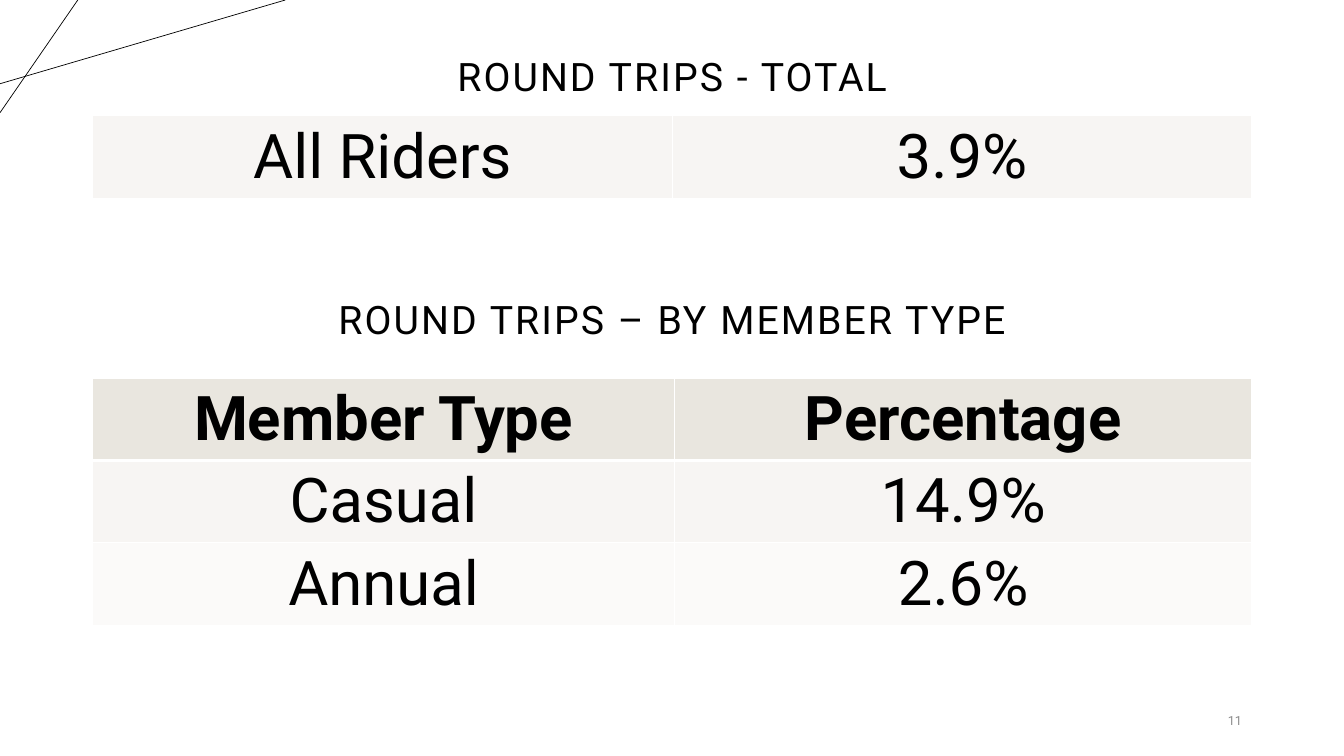
from dataclasses import dataclass

import pptx
import pptx.dml.color
import pptx.enum.shapes
import pptx.enum.text
import pptx.oxml
import pptx.oxml.ns
import pptx.util
from pptx.dml.color import RGBColor
from pptx.enum.text import MSO_ANCHOR, PP_ALIGN
from pptx.util import Cm, Pt

FONT = "Roboto"
BLACK = RGBColor(0x00, 0x00, 0x00)
WHITE = RGBColor(0xFF, 0xFF, 0xFF)
GREY = RGBColor(0x8C, 0x8C, 0x8C)
HEADER_FILL = RGBColor(0xE9, 0xE6, 0xDF)
BAND_FILL = RGBColor(0xF7, 0xF5, 0xF3)
PALE_FILL = RGBColor(0xFB, 0xFA, 0xF9)

MARGIN = 2.34
CONTENT_WIDTH = 29.21
ROW_HEIGHT = 2.07


@dataclass(frozen=True)
class Line:
    x1: float
    y1: float
    x2: float
    y2: float


@dataclass(frozen=True)
class Row:
    texts: tuple[str, str]
    fill: RGBColor
    header: bool = False


@dataclass(frozen=True)
class RateTable:
    top: float
    first_column: float
    rows: tuple[Row, ...]


CORNER_LINES = (Line(0, 2.11, 7.19, 0), Line(1.96, 0, 0, 2.84))

RATE_TABLES = (
    RateTable(2.92, 14.6, (Row(("All Riders", "3.9%"), BAND_FILL),)),
    RateTable(9.53, 14.66, (
        Row(("Member Type", "Percentage"), HEADER_FILL, header=True),
        Row(("Casual", "14.9%"), BAND_FILL),
        Row(("Annual", "2.6%"), PALE_FILL),
    )),
)


def place(shape, left: float, top: float, width: float, height: float) -> None:
    shape.left, shape.top = Cm(left), Cm(top)
    shape.width, shape.height = Cm(width), Cm(height)


def style(paragraph, size: float, color: RGBColor, align: PP_ALIGN,
          bold: bool = False) -> None:
    paragraph.alignment = align
    font = paragraph.font
    font.name, font.size, font.bold = FONT, Pt(size), bold
    font.color.rgb = color


def write_heading(shape, text: str, top: float) -> None:
    place(shape, MARGIN, top, CONTENT_WIDTH, 1.65)
    frame = shape.text_frame
    frame.word_wrap = True
    frame.auto_size = pptx.enum.text.MSO_AUTO_SIZE.NONE
    frame.vertical_anchor = MSO_ANCHOR.BOTTOM
    frame.text = text
    paragraph = frame.paragraphs[0]
    paragraph.line_spacing = 0.9
    style(paragraph, 28, BLACK, PP_ALIGN.CENTER)
    # Letter spacing in hundredths of a point
    paragraph.runs[0].font._element.set("spc", "150")


def draw_line(slide, line: Line) -> None:
    connector = slide.shapes.add_connector(
        pptx.enum.shapes.MSO_CONNECTOR.STRAIGHT,
        Cm(line.x1), Cm(line.y1), Cm(line.x2), Cm(line.y2))
    connector.line.color.rgb = BLACK
    connector.line.width = Pt(0.5)
    pptx.oxml.ns.qn("a:effectLst")
    connector._element.spPr.append(pptx.oxml.parse_xml(
        f"<a:effectLst {pptx.oxml.ns.nsdecls('a')}/>"))


def add_borders(cell, top: float, bottom: float) -> None:
    properties = cell._tc.get_or_add_tcPr()
    for side, width in (("L", 1), ("R", 1), ("T", top), ("B", bottom)):
        properties.append(pptx.oxml.parse_xml(
            f'<a:ln{side} {pptx.oxml.ns.nsdecls("a")} w="{Pt(width)}">'
            f'<a:solidFill><a:srgbClr val="{WHITE}"/></a:solidFill></a:ln{side}>'))


def draw_table(slide, rates: RateTable) -> None:
    table = slide.shapes.add_table(
        len(rates.rows), 2, Cm(MARGIN), Cm(rates.top),
        Cm(CONTENT_WIDTH), Cm(ROW_HEIGHT * len(rates.rows))).table
    table.first_row = table.horz_banding = False
    table.columns[0].width = Cm(rates.first_column)
    table.columns[1].width = Cm(CONTENT_WIDTH - rates.first_column)
    after_header = False
    for table_row, row in zip(table.rows, rates.rows):
        for cell, text in zip(table_row.cells, row.texts):
            add_borders(cell, 3 if after_header else 1, 3 if row.header else 1)
            cell.fill.solid()
            cell.fill.fore_color.rgb = row.fill
            cell.text = text
            style(cell.text_frame.paragraphs[0], 44, BLACK, PP_ALIGN.CENTER,
                  row.header)
        after_header = row.header


def main() -> None:
    deck = pptx.Presentation()
    deck.slide_width, deck.slide_height = Cm(33.87), Cm(19.05)
    slide = deck.slides.add_slide(deck.slide_layouts.get_by_name("Title Only"))
    slide.background.fill.solid()
    slide.background.fill.fore_color.rgb = WHITE

    # Corner decoration
    for line in CORNER_LINES:
        draw_line(slide, line)

    # Headings
    write_heading(slide.shapes.title, "ROUND TRIPS - TOTAL", 0.99)
    member_heading = slide.shapes.add_textbox(0, 0, 0, 0)
    write_heading(member_heading, "ROUND TRIPS – BY MEMBER TYPE", 7.11)

    # Tables
    for rates in RATE_TABLES:
        draw_table(slide, rates)

    # Page number
    page_number = slide.shapes.add_textbox(Cm(28.8), Cm(17.65), Cm(2.75), Cm(1.02))
    page_number.text_frame.word_wrap = True
    page_number.text_frame.vertical_anchor = MSO_ANCHOR.MIDDLE
    page_number.text_frame.text = "11"
    style(page_number.text_frame.paragraphs[0], 9, GREY, PP_ALIGN.RIGHT)

    deck.save("out.pptx")


if __name__ == "__main__":
    main()
